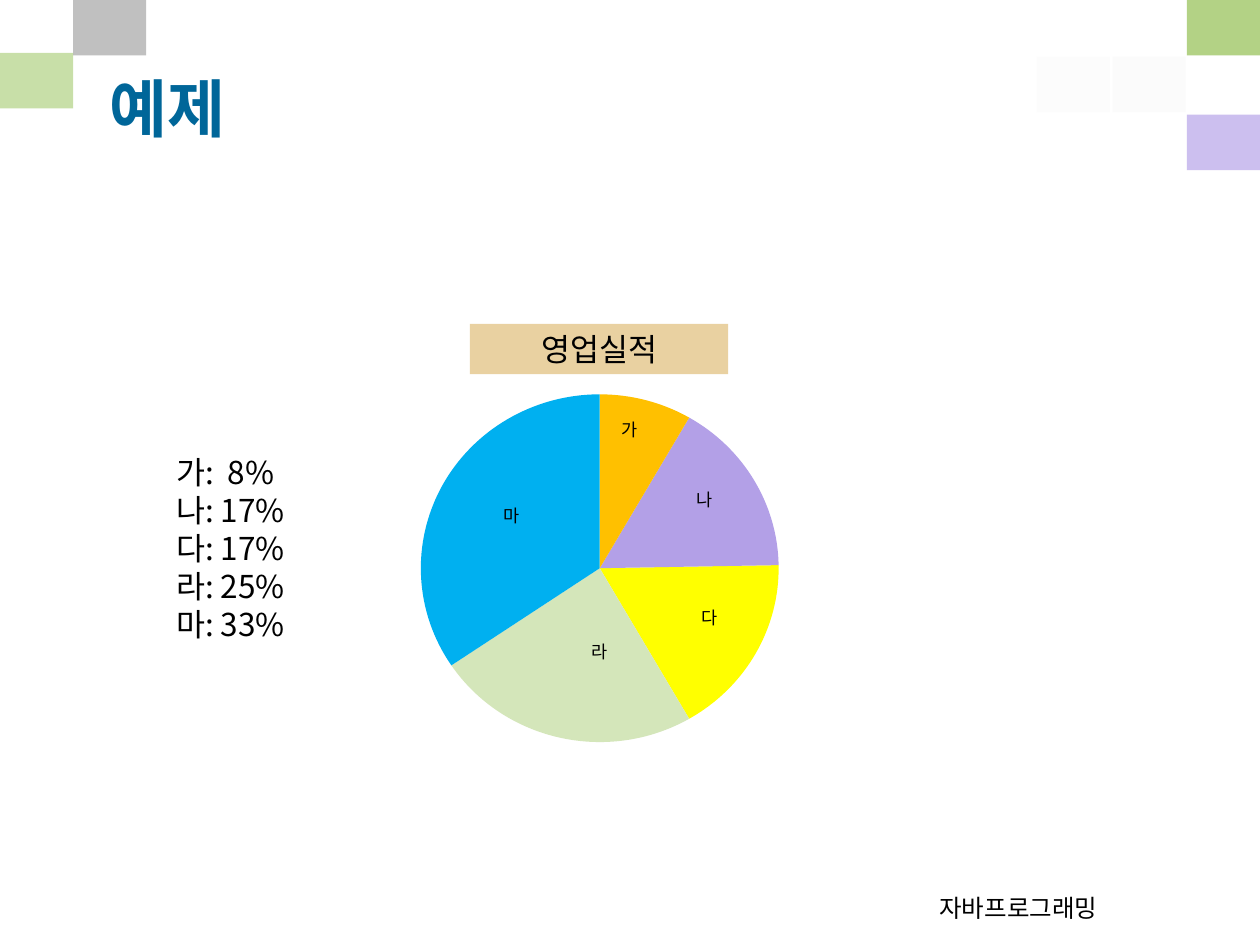
from dataclasses import dataclass
from math import ceil, cos, radians, sin, tan

from lxml.etree import SubElement
from pptx import Presentation
from pptx.dml.color import RGBColor
from pptx.enum.shapes import MSO_SHAPE
from pptx.enum.text import MSO_ANCHOR, MSO_AUTO_SIZE, PP_ALIGN
from pptx.oxml.ns import qn
from pptx.util import Inches, Pt


@dataclass(frozen=True)
class Theme:
    ink: str = "000000"
    title_ink: str = "006699"
    banner: str = "E9D1A1"
    gray: str = "C0C0C0"
    green: str = "93C052"
    pale: str = "F8F8F8"
    violet: str = "8061D7"
    title_font: str = "Roboto"
    footer_font: str = "Karla"
    body_font: str = "Noto Sans CJK KR"
    title_size: int = 36
    body_size: int = 18
    footer_size: int = 14
    label_size: int = 10


THEME = Theme()

# Corner tiles: left, top, colour, opacity in percent
TILE_SIZE = (0.58, 0.44)
TILES = [
    (0.58, 0, THEME.gray, 100),
    (0, 0.42, THEME.green, 50),
    (9.42, 0, THEME.green, 70),
    (8.23, 0.45, THEME.pale, 30),
    (8.83, 0.45, THEME.pale, 50),
    (9.42, 0.91, THEME.violet, 40),
]

# Slices, back to front: start and end in degrees clockwise from the top, colour
PIE_BOX = (3.34, 3.13, 2.84, 2.76)
SLICES = [
    (89, 150, "FFFF00"),
    (30, 89, "B3A0E7"),
    (0, 30, "FFC000"),
    (150, 236, "D4E6BA"),
    (236, 360, "00B0F0"),
]
SLICE_LABELS = [
    ("가", 4.76, 3.28),
    ("나", 5.35, 3.83),
    ("다", 5.39, 4.77),
    ("라", 4.52, 5.04),
    ("마", 3.82, 3.96),
]
LEGEND = ["가:  8%", "나: 17%", "다: 17%", "라: 25%", "마: 33%"]


def apply_format(target, values):
    for name, value in values.items():
        setattr(target, name, value)


def paint(shape, color, opacity=100):
    shape.shadow.inherit = False
    shape.line.fill.background()
    shape.fill.solid()
    shape.fill.fore_color.rgb = RGBColor.from_string(color)
    if opacity < 100:
        color_node = shape.fill._xPr.find(".//" + qn("a:srgbClr"))
        SubElement(color_node, qn("a:alpha"), val=str(opacity * 1000))


def add_rectangle(page, left, top, width, height, color, opacity=100):
    box = page.shapes.add_shape(
        MSO_SHAPE.RECTANGLE, Inches(left), Inches(top), Inches(width), Inches(height))
    paint(box, color, opacity)
    return box


def write_text(box, lines, size, font=THEME.body_font, color=THEME.ink, bold=False,
               align=PP_ALIGN.LEFT, anchor=MSO_ANCHOR.TOP, fit=MSO_AUTO_SIZE.NONE):
    frame = box.text_frame
    apply_format(frame, {"word_wrap": True, "vertical_anchor": anchor, "auto_size": fit})
    for index, line in enumerate(lines):
        para = frame.add_paragraph() if index else frame.paragraphs[0]
        para.alignment = align
        span = para.add_run()
        span.text = line
        apply_format(span.font, {"size": Pt(size), "name": font, "bold": bold})
        span.font.color.rgb = RGBColor.from_string(color)
        # Korean glyphs use the East Asian typeface
        SubElement(span.font._element, qn("a:ea"), typeface=THEME.body_font)


def add_text(page, left, top, width, height, lines, size, **style):
    box = page.shapes.add_textbox(
        Inches(left), Inches(top), Inches(width), Inches(height))
    write_text(box, lines, size, **style)


def pie_point(angle, along=0):
    """Point on the rim, moved along the tangent by a share of the radius."""
    _, _, width, height = PIE_BOX
    across = sin(angle) + along * cos(angle)
    down = -cos(angle) + along * sin(angle)
    return Inches(width / 2 * (1 + across)), Inches(height / 2 * (1 + down))


def add_segment(outline, kind, *points):
    segment = SubElement(outline, qn(kind))
    for x, y in points:
        SubElement(segment, qn("a:pt"), x=str(x), y=str(y))


def add_slice(page, start, end, color):
    left, top, width, height = (Inches(length) for length in PIE_BOX)
    center = (width // 2, height // 2)
    builder = page.shapes.build_freeform(*center)
    builder.add_line_segments([pie_point(radians(start)), pie_point(radians(end))])
    piece = builder.convert_to_shape()
    apply_format(piece, {"left": left, "top": top, "width": width, "height": height})

    # The rim is a Bezier curve for each quarter turn or less
    outline = piece._element.find(".//" + qn("a:path"))
    for node in list(outline):
        outline.remove(node)
    outline.set("w", str(width))
    outline.set("h", str(height))
    count = ceil((end - start) / 90)
    step = radians(end - start) / count
    handle = 4 / 3 * tan(step / 4)
    add_segment(outline, "a:moveTo", pie_point(radians(start)))
    for index in range(count):
        angle = radians(start) + index * step
        add_segment(outline, "a:cubicBezTo", pie_point(angle, handle),
                    pie_point(angle + step, -handle), pie_point(angle + step))
    add_segment(outline, "a:lnTo", center)
    add_segment(outline, "a:close")
    paint(piece, color)


def main():
    deck = Presentation()
    apply_format(deck, {"slide_width": Inches(10), "slide_height": Inches(7.5)})
    page = deck.slides.add_slide(deck.slide_layouts[6])
    centered = {"align": PP_ALIGN.CENTER, "fit": MSO_AUTO_SIZE.SHAPE_TO_FIT_TEXT}

    # Corner decoration
    for left, top, color, opacity in TILES:
        add_rectangle(page, left, top, *TILE_SIZE, color, opacity)

    # Title and footer
    add_text(page, 0.77, 0.23, 8.73, 1.25, ["예제"], THEME.title_size,
             font=THEME.title_font, color=THEME.title_ink, bold=True,
             anchor=MSO_ANCHOR.MIDDLE)
    add_text(page, 6.08, 7.08, 2.73, 0.29, ["자바프로그래밍"], THEME.footer_size,
             font=THEME.footer_font, align=PP_ALIGN.RIGHT, anchor=MSO_ANCHOR.BOTTOM)

    # Pie, its heading and labels
    for start, end, color in SLICES:
        add_slice(page, start, end, color)
    banner = add_rectangle(page, 3.73, 2.57, 2.05, 0.4, THEME.banner)
    write_text(banner, ["영업실적"], THEME.body_size, **centered)
    for name, left, top in SLICE_LABELS:
        add_text(page, left, top, 0.48, 0.27, [name], THEME.label_size, **centered)

    # Legend
    add_text(page, 1.3, 3.55, 1.34, 1.6, LEGEND, THEME.body_size,
             fit=MSO_AUTO_SIZE.SHAPE_TO_FIT_TEXT)

    deck.save("out.pptx")


if __name__ == "__main__":
    main()
